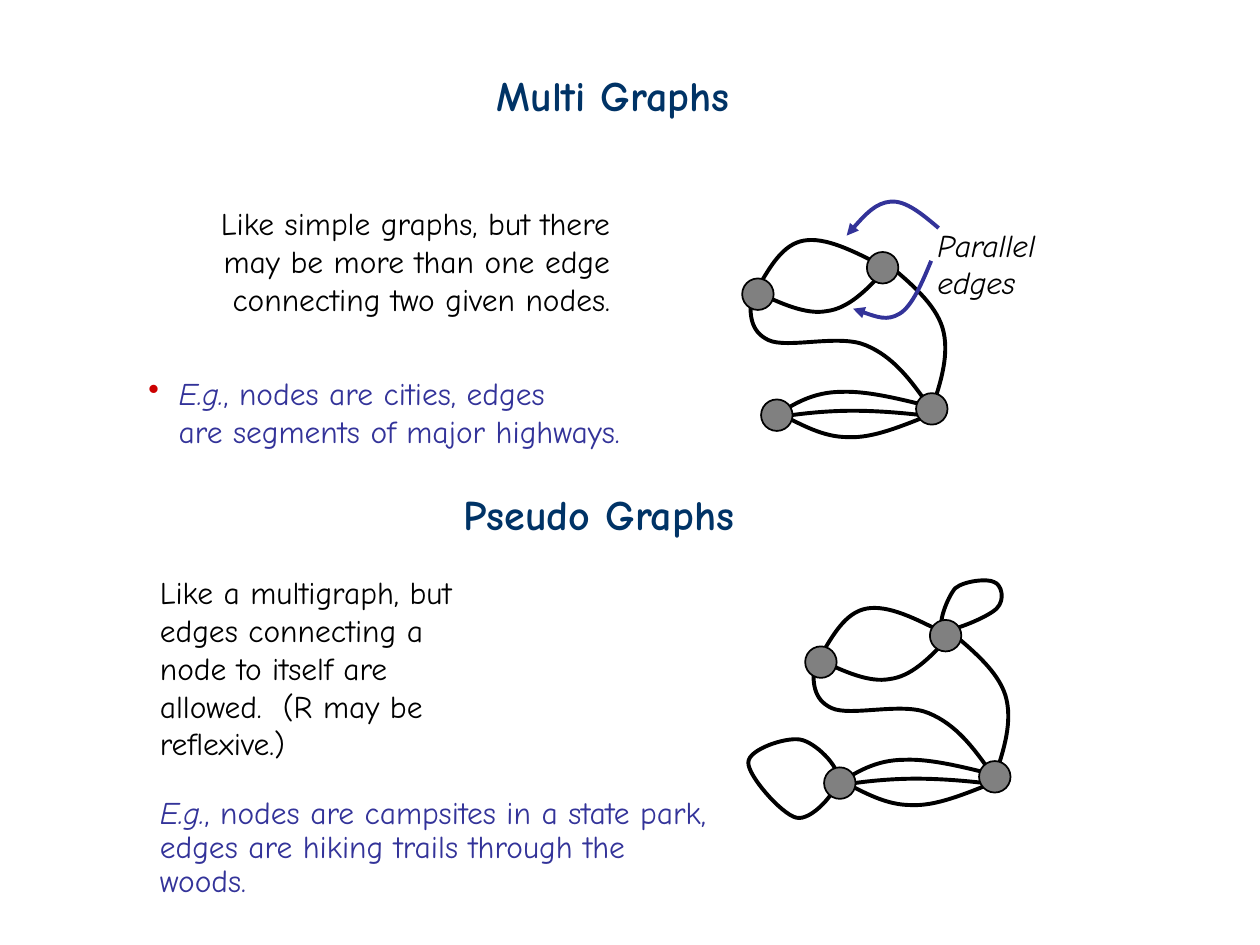
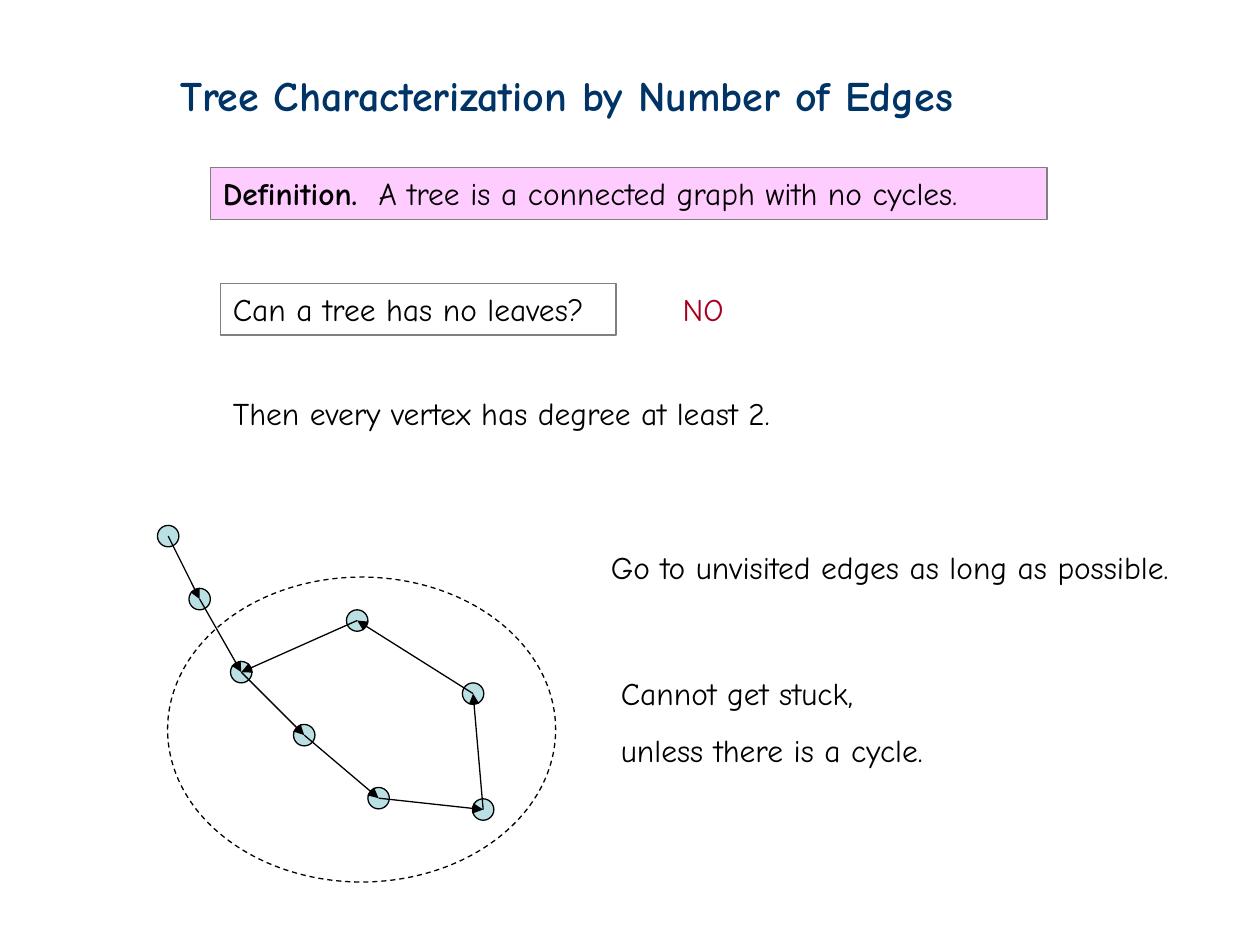
from dataclasses import dataclass

from lxml.etree import SubElement
from pptx import Presentation
from pptx.dml.color import RGBColor
from pptx.enum.dml import MSO_LINE
from pptx.enum.shapes import MSO_CONNECTOR, MSO_SHAPE
from pptx.enum.text import MSO_ANCHOR, MSO_AUTO_SIZE, PP_ALIGN
from pptx.oxml.ns import qn
from pptx.util import Inches, Pt


@dataclass(frozen=True)
class Theme:
    font: str = "Comic Neue"
    title_size: float = 24
    body_size: float = 18
    edge_width: float = 2.25
    node_line: float = 1
    thin: float = 0.75
    black: str = "000000"
    white: str = "FFFFFF"
    navy: str = "003366"
    indigo: str = "333399"
    red: str = "CC0000"
    crimson: str = "A50021"
    gray: str = "808080"
    pink: str = "FFCCFF"
    aqua: str = "BBE0E3"


T = Theme()

# Graph edges as Bezier points, in inches from the graph's corner
GRAPH_EDGES = [
    [(.11, .43), (.22, .24), (.32, .06), (.49, .03), (.66, 0), (.88, .11), (1.11, .23)],
    [(.12, .44), (.31, .53), (.51, .62), (.67, .59), (.84, .57), (.98, .43), (1.12, .28)],
    [(.25, 1.43), (.4, 1.33), (.56, 1.23), (.79, 1.23), (1.01, 1.22), (1.31, 1.3), (1.62, 1.38)],
    [(1.15, .21), (1.34, .37), (1.53, .53), (1.59, .72), (1.65, .92), (1.58, 1.15), (1.5, 1.38)],
    [(.29, 1.4), (.47, 1.49), (.64, 1.59), (.84, 1.59), (1.04, 1.6), (1.27, 1.5), (1.5, 1.41)],
    [(.29, 1.43), (.48, 1.4), (.68, 1.38), (.88, 1.38), (1.09, 1.38), (1.32, 1.4), (1.55, 1.43)],
    [(.07, .47), (.06, .61), (.06, .75), (.21, .82), (.36, .89), (.77, .77), (.98, .86),
     (1.2, .95), (1.34, 1.14), (1.48, 1.34)],
]
GRAPH_NODES = [(0, .33), (.99, .12), (1.38, 1.24), (.15, 1.29)]
SELF_LOOPS = [
    [(1.1, .2), (1.04, .17), (1.13, -.06), (1.19, -.13), (1.26, -.19), (1.45, -.21), (1.5, -.18),
     (1.56, -.16), (1.59, -.04), (1.52, .03), (1.45, .1), (1.15, .22), (1.1, .2)],
    [(.26, 1.38), (.27, 1.28), (.08, 1.09), (-.04, 1.07), (-.16, 1.05), (-.45, 1.15), (-.45, 1.25),
     (-.46, 1.35), (-.19, 1.66), (-.07, 1.69), (.05, 1.72), (.26, 1.48), (.26, 1.38)],
]
PARALLEL_ARROWS = [
    [(1.56, -.07), (1.43, -.18), (1.3, -.29), (1.18, -.28), (1.06, -.27), (.94, -.14), (.83, -.01)],
    [(1.5, .19), (1.43, .36), (1.35, .55), (1.25, .61), (1.15, .67), (1.02, .62), (.88, .57)],
]

# Walk through the tree: a tail that runs into a cycle
WALK_NODES = [(0, 0), (.25, .5), (.58, 1.08), (1.08, 1.58), (1.67, 2.08),
              (2.5, 2.17), (2.42, 1.25), (1.5, .67)]
CYCLE_START = 2


def rgb(color):
    return RGBColor.from_string(color)


# Text
def format_run(r, color, size=T.body_size, bold=False, italic=False):
    r.font.name, r.font.size = T.font, Pt(size)
    r.font.bold, r.font.italic = bold, italic
    r.font.color.rgb = rgb(color)


def fill_text(tf, text, color=T.black, size=T.body_size, bold=False, italic=False,
              wrap=False, align=PP_ALIGN.LEFT):
    """Write text; a line feed starts a paragraph, a vertical tab a line."""
    tf.text = text
    tf.word_wrap = wrap
    tf.auto_size = MSO_AUTO_SIZE.NONE
    tf.vertical_anchor = MSO_ANCHOR.TOP
    for p in tf.paragraphs:
        p.alignment = align
        for r in p.runs:
            format_run(r, color, size, bold, italic)


def add_lead(tf, lead, color, **style):
    """Put a specially styled run before the text of the first paragraph."""
    p = tf.paragraphs[0]
    first = p.runs[0]
    r = p.add_run()
    r.text = lead
    format_run(r, color, **style)
    first._r.addprevious(r._r)


def add_text(s, box, text, **style):
    tf = s.shapes.add_textbox(*map(Inches, box)).text_frame
    fill_text(tf, text, **style)
    return tf


def heading_style(tf, text):
    fill_text(tf, text, color=T.navy, size=T.title_size, bold=True)


def add_title(s, box, text):
    title = s.shapes.title
    title.left, title.top, title.width, title.height = map(Inches, box)
    heading_style(title.text_frame, text)


def add_bullet(p, color, indent):
    pPr = p._p.get_or_add_pPr()
    pPr.set("marL", str(Inches(indent)))
    pPr.set("indent", str(-Inches(indent)))
    SubElement(SubElement(pPr, qn("a:buClr")), qn("a:srgbClr")).set("val", color)
    SubElement(pPr, qn("a:buChar")).set("char", "•")


# Shapes and lines
def add_shape(s, kind, box, fill=None, line=None, width=T.thin):
    sp = s.shapes.add_shape(kind, *map(Inches, box))
    sp.shadow.inherit = False
    if fill:
        sp.fill.solid()
        sp.fill.fore_color.rgb = rgb(fill)
    else:
        sp.fill.background()
    if line:
        sp.line.color.rgb = rgb(line)
        sp.line.width = Pt(width)
    else:
        sp.line.fill.background()
    return sp


def add_arrowhead(line):
    SubElement(line._get_or_add_ln(), qn("a:tailEnd")).set("type", "triangle")


def add_curve(s, x, y, points, color=T.black, closed=False):
    """Draw a chain of cubic Bezier segments placed relative to (x, y)."""
    pts = [(Inches(x + dx), Inches(y + dy)) for dx, dy in points]
    builder = s.shapes.build_freeform(*pts[0], scale=1.0)
    builder.add_line_segments(pts[1:], close=closed)
    sp = builder.convert_to_shape()
    # Join every three line points into one cubic segment
    steps = list(sp._element.iter(qn("a:lnTo")))
    for i in range(0, len(steps), 3):
        cubic = steps[i].makeelement(qn("a:cubicBezTo"))
        steps[i].addprevious(cubic)
        for step in steps[i:i + 3]:
            cubic.append(step[0])
            step.getparent().remove(step)
    sp.shadow.inherit = False
    sp.fill.background()
    sp.line.color.rgb = rgb(color)
    sp.line.width = Pt(T.edge_width)
    return sp


def add_arrow(s, start, end):
    line = s.shapes.add_connector(MSO_CONNECTOR.STRAIGHT, *map(Inches, start + end))
    line.line.color.rgb = rgb(T.black)
    line.line.width = Pt(T.thin)
    add_arrowhead(line.line)
    SubElement(line._element.spPr, qn("a:effectLst"))


# Regions
def draw_graph(s, x, y, loops=()):
    for points in GRAPH_EDGES:
        add_curve(s, x, y, points)
    for points in loops:
        add_curve(s, x, y, points, closed=True)
    for dx, dy in GRAPH_NODES:
        add_shape(s, MSO_SHAPE.OVAL, (x + dx, y + dy, .25, .25), T.gray, T.black, T.node_line)


def draw_parallel_edges(s, x, y):
    label = add_shape(s, MSO_SHAPE.RECTANGLE, (x + 1.45, y - .24, 1.29, .9), T.white)
    fill_text(label.text_frame, "Parallel\vedges", italic=True, wrap=True)
    label.text_frame.vertical_anchor = MSO_ANCHOR.MIDDLE
    draw_graph(s, x, y)
    for points in PARALLEL_ARROWS:
        add_arrowhead(add_curve(s, x, y, points, T.indigo).line)


def draw_walk(s, x, y, size=.17):
    for dx, dy in WALK_NODES:
        add_shape(s, MSO_SHAPE.OVAL, (x + dx, y + dy, size, size), T.aqua, T.black)
    centers = [(x + dx + size / 2, y + dy + size / 2) for dx, dy in WALK_NODES]
    for start, end in zip(centers, centers[1:] + [centers[CYCLE_START]]):
        add_arrow(s, start, end)
    ring = add_shape(s, MSO_SHAPE.OVAL, (x + .08, y + .41, 3.08, 2.42), line=T.black)
    ring.line.dash_style = MSO_LINE.DASH


def boxed_text(s, box, text, fill=None):
    sp = add_shape(s, MSO_SHAPE.RECTANGLE, box, fill, T.gray)
    fill_text(sp.text_frame, text, wrap=True)
    return sp.text_frame


# Slides
def graphs_slide(s):
    # Multigraphs
    add_title(s, (3.84, .5, 2.26, .5), "Multi Graphs")
    add_text(s, (1.55, 1.57, 3.39, 1.23),
             "Like simple graphs, but there may be more than one edge connecting two given nodes.",
             wrap=True, align=PP_ALIGN.RIGHT)
    tf = add_text(s, (1.08, 2.92, 4.01, .71),
                  ", nodes are cities, edges\vare segments of major highways.", color=T.indigo)
    add_lead(tf, "E.g.", T.indigo, italic=True)
    add_bullet(tf.paragraphs[0], T.red, .24)
    draw_parallel_edges(s, 5.89, 1.88)

    # Pseudographs
    heading_style(s.shapes.add_textbox(*map(Inches, (3.58, 3.83, 2.52, .5))).text_frame,
                  "Pseudo Graphs")
    draw_graph(s, 6.39, 4.8, SELF_LOOPS)
    add_text(s, (1.17, 4.5, 2.78, 1.61),
             "Like a multigraph, but edges connecting a node to itself are allowed.  "
             "(R may be reflexive.)", wrap=True)
    tf = add_text(s, (1.17, 6.28, 5.22, .92),
                  ", nodes are campsites in a state park, edges are hiking trails through the\vwoods.",
                  color=T.indigo, wrap=True)
    add_lead(tf, "E.g.", T.indigo, italic=True)
    tf.paragraphs[0].line_spacing = .9


def tree_slide(s):
    add_title(s, (1.33, .5, 7.25, .5), "Tree Characterization by Number of Edges")

    # Definition and question
    tf = boxed_text(s, (1.67, 1.33, 6.64, .41),
                    "  A tree is a connected graph with no cycles.", T.pink)
    add_lead(tf, "Definition.", T.black, bold=True)
    boxed_text(s, (1.75, 2.25, 3.14, .41), "Can a tree has no leaves?")
    add_text(s, (5.32, 2.25, .6, .4), "NO", color=T.crimson)
    add_text(s, (1.75, 3.08, 4.97, .4), "Then every vertex has degree at least 2.")

    # Walk and its explanation
    draw_walk(s, 1.25, 4.17)
    add_text(s, (4.75, 4.3, 4.95, .4), "Go to unvisited edges as long as possible.")
    tf = add_text(s, (4.83, 5.3, 2.84, .85), "Cannot get stuck,\nunless there is a cycle.")
    tf.paragraphs[1].line_spacing = 1.5


def main():
    prs = Presentation()
    prs.slide_width, prs.slide_height = Inches(10), Inches(7.5)
    title_only = prs.slide_layouts[5]
    for build in (graphs_slide, tree_slide):
        build(prs.slides.add_slide(title_only))
    prs.save("out.pptx")


if __name__ == "__main__":
    main()
